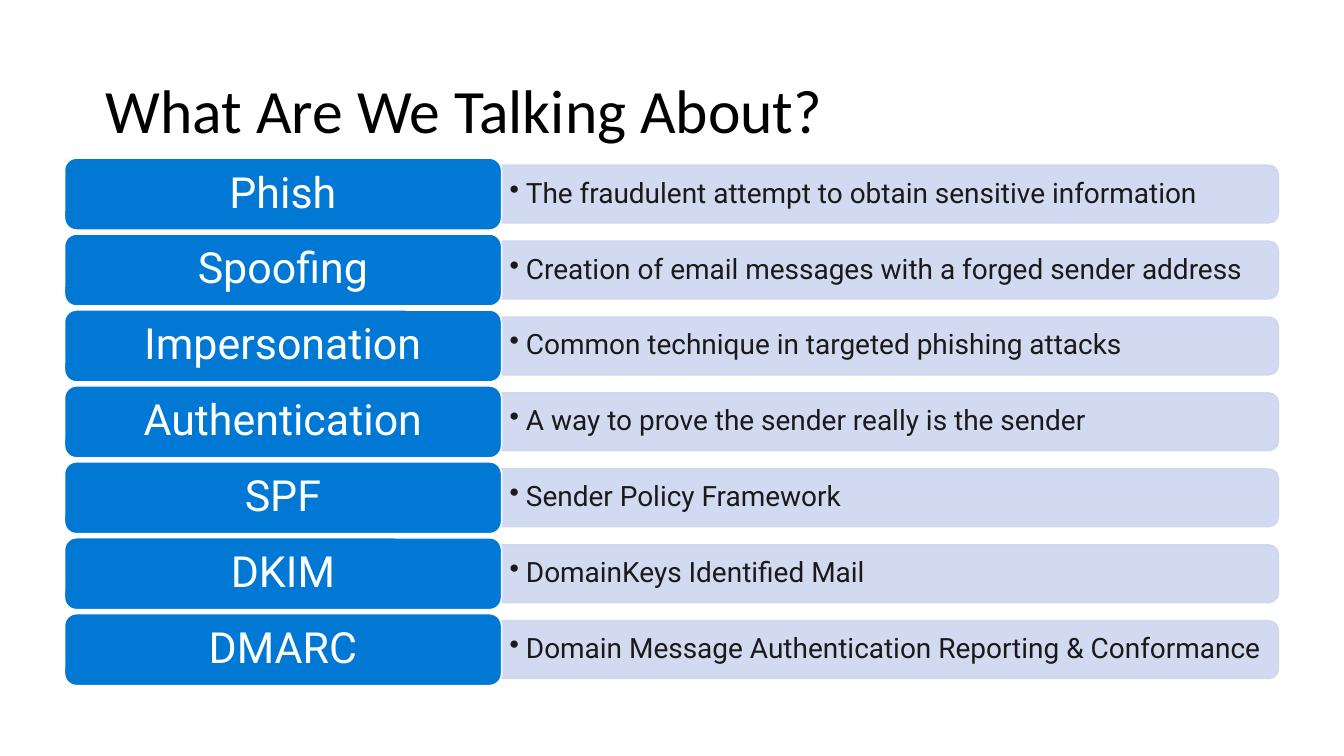
from lxml.etree import SubElement
from pptx import Presentation
from pptx.dml.color import RGBColor
from pptx.enum.shapes import MSO_SHAPE as SHAPE
from pptx.enum.text import MSO_ANCHOR as ANCHOR, PP_ALIGN as ALIGN
from pptx.oxml.ns import qn
from pptx.util import Cm, Pt

BLACK = RGBColor(0x00, 0x00, 0x00)
WHITE = RGBColor(0xFF, 0xFF, 0xFF)
BLUE = RGBColor(0x00, 0x78, 0xD4)
PALE_BLUE = RGBColor(0xCC, 0xD6, 0xEF)
INK = RGBColor(0x1A, 0x1A, 0x1A)

TERMS = [
    ("Phish", "The fraudulent attempt to obtain sensitive information"),
    ("Spoofing", "Creation of email messages with a forged sender address"),
    ("Impersonation", "Common technique in targeted phishing attacks"),
    ("Authentication", "A way to prove the sender really is the sender"),
    ("SPF", "Sender Policy Framework"),
    ("DKIM", "DomainKeys Identified Mail"),
    ("DMARC", "Domain Message Authentication Reporting & Conformance"),
]

FIRST_MIDDLE = 3.67
LAST_MIDDLE = 12.28
PITCH = (LAST_MIDDLE - FIRST_MIDDLE) / (len(TERMS) - 1)
LABEL_LEFT, LABEL_WIDTH, LABEL_HEIGHT = 1.22, 8.26, 1.36
BAR_LEFT, BAR_WIDTH, BAR_HEIGHT = 9.48, 14.68, 1.09
TEXT_WIDTH, TEXT_HEIGHT = 14.63, 0.99


class SlideBuilder:
    title_font = {"name": "Calibri", "size": Pt(33)}
    label_font = {"name": "Roboto", "size": Pt(23)}
    detail_font = {"name": "Roboto", "size": Pt(15)}

    def __init__(self, slide):
        self.slide = slide

    def fill_text(self, sp, text, font, color, align=ALIGN.LEFT, inset=(0.25, 0.13), bullet=False):
        tf = sp.text_frame
        dx, dy = (Cm(v) for v in inset)
        frame = {
            "word_wrap": True, "vertical_anchor": ANCHOR.MIDDLE,
            "margin_left": dx, "margin_right": dx,
            "margin_top": dy, "margin_bottom": dy,
        }
        for key, value in frame.items():
            setattr(tf, key, value)
        p = tf.paragraphs[0]
        p.alignment = align
        p.line_spacing = 0.9
        if bullet:
            pPr = p._p.get_or_add_pPr()
            pPr.set("marL", str(Cm(0.31)))
            pPr.set("indent", str(-Cm(0.31)))
            SubElement(pPr, qn("a:buChar")).set("char", "•")
        r = p.add_run()
        r.text = text
        for key, value in font.items():
            setattr(r.font, key, value)
        r.font.color.rgb = color

    def textbox(self, left, top, width, height, *args, **kwargs):
        sp = self.slide.shapes.add_textbox(Cm(left), Cm(top), Cm(width), Cm(height))
        self.fill_text(sp, *args, **kwargs)

    def shape(self, kind, left, top, width, height, fill, line):
        sp = self.slide.shapes.add_shape(kind, Cm(left), Cm(top), Cm(width), Cm(height))
        sp.shadow.inherit = False
        sp.fill.solid()
        sp.fill.fore_color.rgb = fill
        sp.line.color.rgb = line
        sp.line.width = Pt(0.85)
        return sp

    def title(self, text):
        self.textbox(1.75, 0.76, 21.89, 2.77, text, self.title_font, BLACK)

    def bar(self, middle):
        left = BAR_LEFT + (BAR_WIDTH - BAR_HEIGHT) / 2
        sp = self.shape(SHAPE.ROUND_2_SAME_RECTANGLE, left, middle - BAR_WIDTH / 2,
                        BAR_HEIGHT, BAR_WIDTH, PALE_BLUE, PALE_BLUE)
        sp.rotation = 90
        for color in sp._element.spPr.iter(qn("a:srgbClr")):
            SubElement(color, qn("a:alpha")).set("val", "90000")

    def detail(self, middle, text):
        self.textbox(BAR_LEFT, middle - TEXT_HEIGHT / 2, TEXT_WIDTH, TEXT_HEIGHT,
                     text, self.detail_font, INK, inset=(0.15, 0.08), bullet=True)

    def label(self, middle, text):
        sp = self.shape(SHAPE.ROUNDED_RECTANGLE, LABEL_LEFT, middle - LABEL_HEIGHT / 2,
                        LABEL_WIDTH, LABEL_HEIGHT, BLUE, WHITE)
        self.fill_text(sp, text, self.label_font, WHITE, ALIGN.CENTER)


def main():
    prs = Presentation()
    prs.slide_width, prs.slide_height = Cm(25.4), Cm(14.29)
    s = SlideBuilder(prs.slides.add_slide(prs.slide_layouts[6]))
    s.title("What Are We Talking About?")
    for i, (term, meaning) in enumerate(TERMS):
        middle = FIRST_MIDDLE + i * PITCH
        s.bar(middle)
        s.detail(middle, meaning)
        s.label(middle, term)
    prs.save("out.pptx")


if __name__ == "__main__":
    main()
